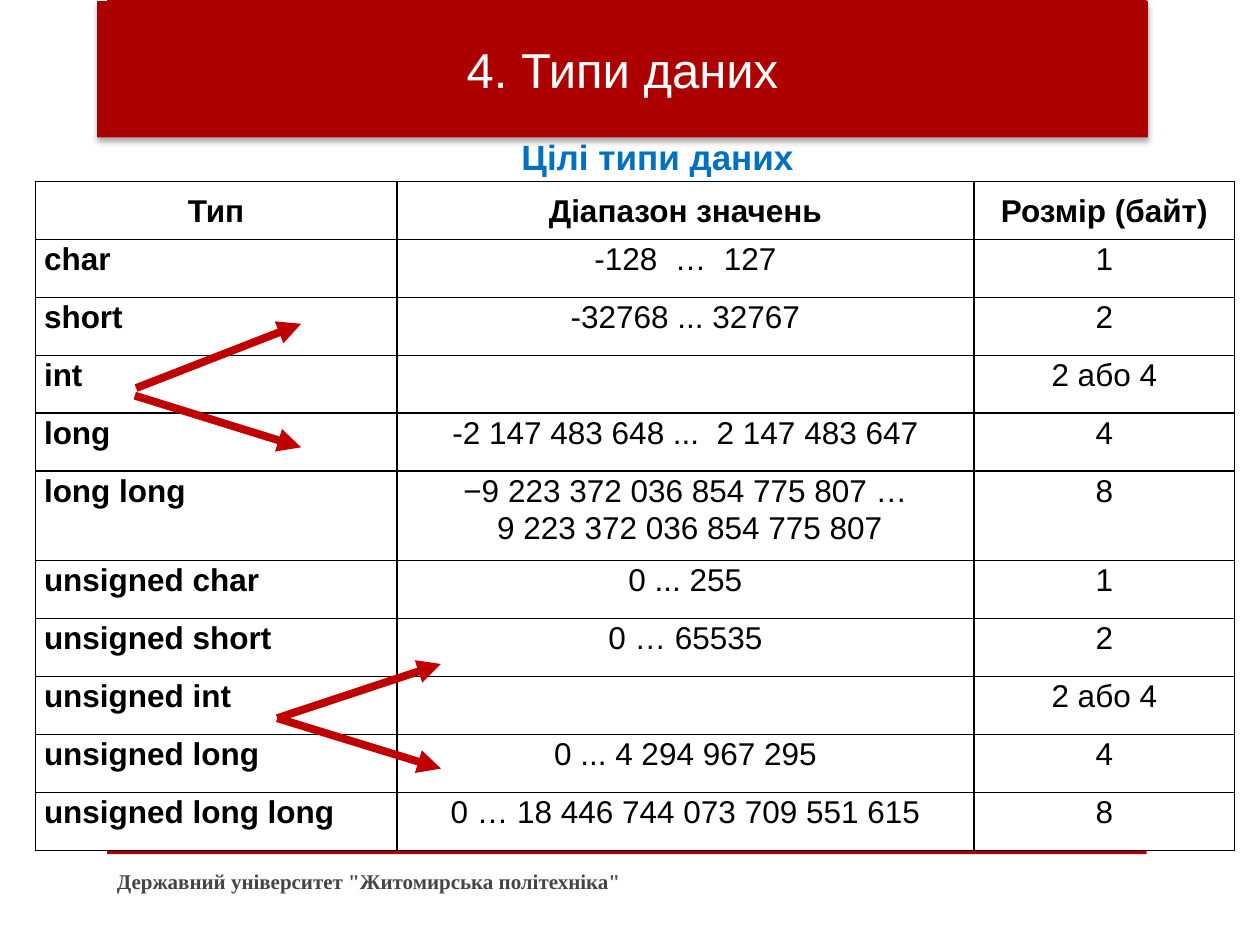
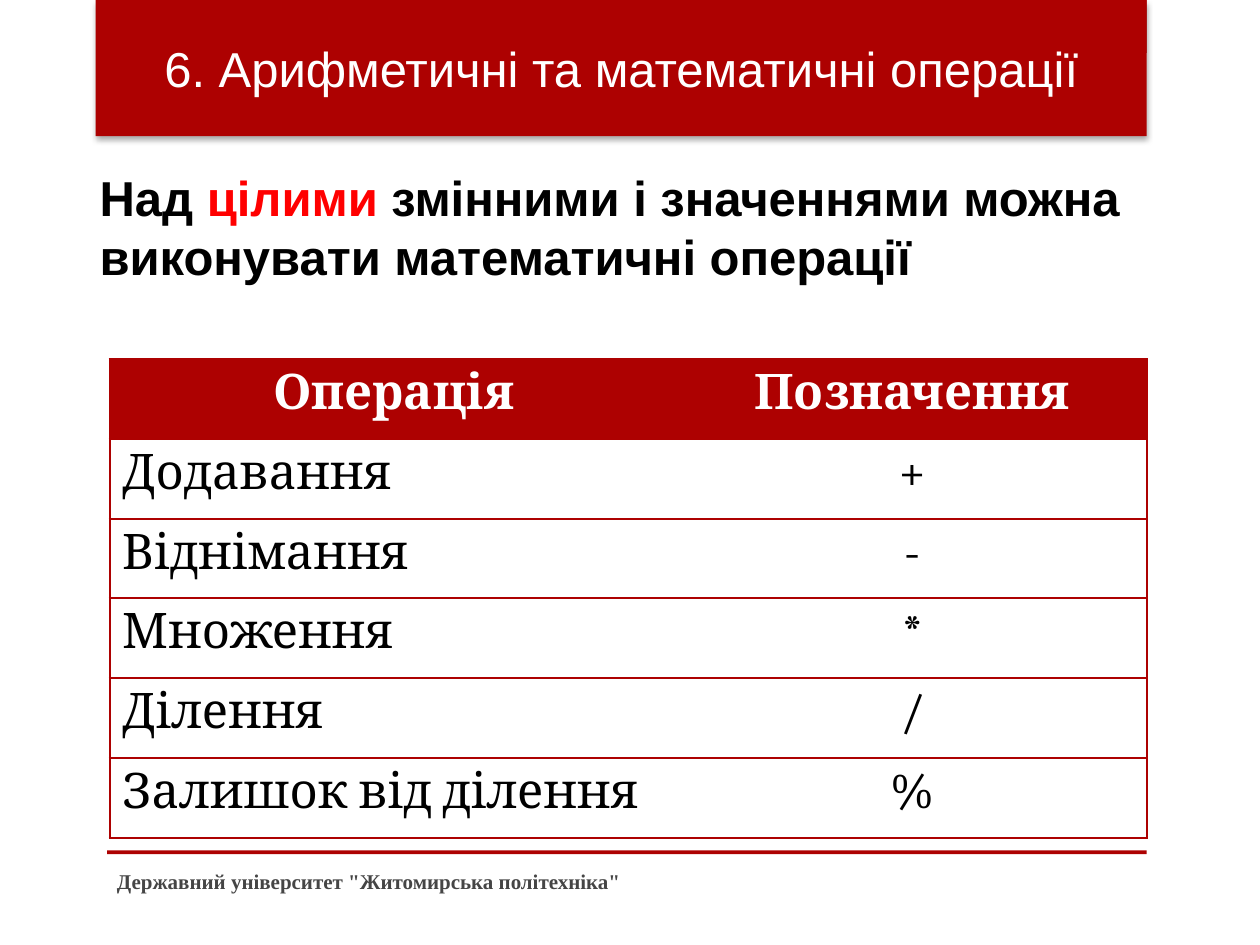
from dataclasses import dataclass

from lxml.etree import SubElement
from pptx import Presentation
from pptx.dml.color import RGBColor
from pptx.enum.shapes import MSO_CONNECTOR, MSO_SHAPE
from pptx.enum.text import MSO_ANCHOR as Anchor, MSO_AUTO_SIZE as AutoSize, PP_ALIGN as Align
from pptx.oxml.ns import qn
from pptx.util import Inches, Pt


@dataclass(frozen=True)
class Theme:
    """Colours, type sizes and fonts shared by the slides."""
    red: str = "AD0101"
    arrow: str = "C00000"
    accent: str = "FF0000"
    blue: str = "0070C0"
    black: str = "000000"
    white: str = "FFFFFF"
    grey: str = "454545"
    large: int = 28
    subtitle: int = 20
    cell: int = 18
    footer: int = 12
    sans: str = "Arial"
    serif: str = "Cambria"
    footer_font: str = "Times New Roman"


THEME = Theme()
FOOTER = 'Державний університет "Житомирська політехніка"'

INTEGER_TYPES = [
    ("Тип", "Діапазон значень", "Розмір (байт)"),
    ("char", "-128  …  127", "1"),
    ("short", "-32768 ... 32767", "2"),
    ("int", "", "2 або 4"),
    ("long", "-2 147 483 648 ...  2 147 483 647", "4"),
    ("long long", "−9 223 372 036 854 775 807 …\v\u00a09 223 372 036 854 775 807", "8"),
    ("unsigned char", "0 ... 255", "1"),
    ("unsigned short", "0 … 65535", "2"),
    ("unsigned int", "", "2 або 4"),
    ("unsigned long", "0 ... 4 294 967 295", "4"),
    ("unsigned long long", "0 … 18 446 744 073 709 551 615", "8"),
]
INT_ARROWS = [
    ((1.08, 3.08), (2.39, 2.57)),
    ((2.2, 5.7), (3.5, 5.27)),
    ((1.07, 3.14), (2.39, 3.55)),
    ((2.2, 5.7), (3.5, 6.1)),
]
OPERATIONS = [
    ("Операція", "Позначення"),
    ("Додавання", "+"),
    ("Віднімання", "-"),
    ("Множення", "*"),
    ("Ділення", "/"),
    ("Залишок від ділення", "%"),
]


def set_all(target, values):
    """Set each named attribute of the target."""
    for name, value in values.items():
        setattr(target, name, value)


def style_run(run, size, color, font=THEME.sans, bold=False):
    """Give a run its font, size, weight and colour."""
    set_all(run.font, {"name": font, "size": Pt(size), "bold": bold})
    run.font.color.rgb = RGBColor.from_string(color)


def write(paragraph, text, style, **paragraph_format):
    """Fill a paragraph with text in one style."""
    paragraph.text = text
    set_all(paragraph, paragraph_format)
    for run in paragraph.runs:
        style_run(run, **style)


def place(shape, left, top, width, height):
    """Move and size a shape, in inches."""
    names = ("left", "top", "width", "height")
    set_all(shape, dict(zip(names, map(Inches, (left, top, width, height)))))


def fill_red(shape):
    """Fill a shape with the theme red, without an outline."""
    shape.fill.solid()
    shape.fill.fore_color.rgb = RGBColor.from_string(THEME.red)
    shape.line.fill.background()


def add_master_bands(presentation, slide):
    """Put the top band and the footer rule behind everything on the master."""
    master_tree = presentation.slide_master.shapes.element
    for index, (top, height) in enumerate([(0, 0.42), (6.75, 0.03)]):
        band = slide.shapes.add_shape(
            MSO_SHAPE.RECTANGLE, *map(Inches, (0.85, top, 8.25, height)))
        band.shadow.inherit = False
        fill_red(band)
        band.element.nvSpPr.cNvPr.set("id", str(101 + index))
        master_tree.insert(2 + index, band.element)


def add_title(slide, text, left, top):
    """Turn the title placeholder into the red title band with a soft shadow."""
    title = slide.shapes.title
    place(title, left, top, 8.34, 1.08)
    fill_red(title)
    effects = SubElement(title.element.spPr, qn("a:effectLst"))
    shadow = SubElement(effects, qn("a:outerShdw"), blurRad=str(Pt(3.5)),
                        dist=str(Pt(2.2)), dir="5400000", rotWithShape="0")
    color = SubElement(shadow, qn("a:srgbClr"), val=THEME.black)
    SubElement(color, qn("a:alpha"), val="32000")
    set_all(title.text_frame, {"vertical_anchor": Anchor.MIDDLE, "word_wrap": True,
                               "auto_size": AutoSize.NONE})
    write(title.text_frame.paragraphs[0], text,
          {"size": THEME.large, "color": THEME.white}, alignment=Align.CENTER)
    title.element.getparent().append(title.element)


def add_text(slide, box, text, style, **frame_format):
    """Add a text box with one paragraph."""
    frame = slide.shapes.add_textbox(*map(Inches, box)).text_frame
    set_all(frame, frame_format)
    write(frame.paragraphs[0], text, style)


def add_footer(slide):
    """Add the university name under the footer rule."""
    style = {"size": THEME.footer, "color": THEME.grey,
             "font": THEME.footer_font, "bold": True}
    add_text(slide, (0.83, 6.79, 5.33, 0.4), FOOTER, style,
             word_wrap=True, vertical_anchor=Anchor.MIDDLE)


def add_statement(slide, box, pieces):
    """Write coloured bold pieces into the body placeholder, without a bullet."""
    body = slide.placeholders[1]
    place(body, *box)
    set_all(body.text_frame, {"word_wrap": True, "auto_size": AutoSize.NONE})
    paragraph = body.text_frame.paragraphs[0]
    paragraph.space_before = Pt(0)
    properties = paragraph.font._element.getparent()
    properties.remove(paragraph.font._element)
    properties.set("marL", str(Inches(0.05)))
    properties.set("indent", "0")
    SubElement(properties, qn("a:buNone"))
    for text, color in pieces:
        run = paragraph.add_run()
        run.text = text
        style_run(run, THEME.large, color, bold=True)


def set_borders(cell, edges, color, width):
    """Draw the named edges (L, R, T, B) of a cell and clear the others."""
    properties = cell._tc.get_or_add_tcPr()
    for edge in "LRTB":
        line = SubElement(properties, qn(f"a:ln{edge}"), w=str(Pt(width)))
        if edge in edges:
            fill = SubElement(line, qn("a:solidFill"))
            SubElement(fill, qn("a:srgbClr"), val=color)
        else:
            SubElement(line, qn("a:noFill"))


def add_grid(slide, origin, widths, heights, rows, format_cell):
    """Add a plain table and let format_cell fill each cell."""
    size = (sum(widths), sum(heights))
    table = slide.shapes.add_table(
        len(rows), len(widths), *map(Inches, origin + size)).table
    set_all(table, {"first_row": False, "horz_banding": False})
    for column, width in zip(table.columns, widths):
        column.width = Inches(width)
    for row, height in zip(table.rows, heights):
        row.height = Inches(height)
    for row_index, texts in enumerate(rows):
        for column_index, text in enumerate(texts):
            cell = table.cell(row_index, column_index)
            format_cell(cell, text, row_index, column_index)


def format_type_cell(cell, text, row, column):
    """Format a cell of the integer type table."""
    header = row == 0
    set_borders(cell, "LRTB", THEME.black, 1)
    cell.fill.background()
    set_all(cell, {"margin_left": Inches(0.07), "margin_right": Inches(0.07),
                   "margin_top": 0, "margin_bottom": 0,
                   "vertical_anchor": Anchor.MIDDLE if header else Anchor.TOP})
    style = {"size": THEME.cell, "color": THEME.black, "bold": header or column == 0}
    write(cell.text_frame.paragraphs[0], text, style,
          alignment=Align.CENTER if header or column else Align.LEFT,
          line_spacing=1.07, space_before=Pt(3), space_after=Pt(3))


def format_operation_cell(cell, text, row, column):
    """Format a cell of the operation table."""
    header = row == 0
    set_borders(cell, "RTB" if column else "LTB", THEME.red, 1.25)
    if header:
        cell.fill.solid()
        cell.fill.fore_color.rgb = RGBColor.from_string(THEME.red)
    else:
        cell.fill.background()
    style = {"size": THEME.large, "color": THEME.white if header else THEME.black,
             "font": THEME.serif, "bold": header}
    write(cell.text_frame.paragraphs[0], text, style,
          alignment=Align.CENTER if header or column else Align.LEFT)


def add_arrow(slide, start, end):
    """Add a thick red arrow between two points."""
    arrow = slide.shapes.add_connector(
        MSO_CONNECTOR.STRAIGHT, *map(Inches, start + end))
    arrow.line.width = Pt(4.5)
    arrow.line.color.rgb = RGBColor.from_string(THEME.arrow)
    SubElement(arrow.line._get_or_add_ln(), qn("a:tailEnd"), type="triangle")
    SubElement(arrow.element.spPr, qn("a:effectLst"))


def build_types_slide(slide):
    """Build the slide of integer data types."""
    heights = [0.71 if "\v" in row[1] else 0.46 for row in INTEGER_TYPES]
    add_grid(slide, (0.28, 1.44), (2.87, 4.58, 2.07), heights,
             INTEGER_TYPES, format_type_cell)
    add_text(slide, (4.04, 1.03, 2.38, 0.44), "Цілі типи даних",
             {"size": THEME.subtitle, "color": THEME.blue, "bold": True},
             word_wrap=False, auto_size=AutoSize.SHAPE_TO_FIT_TEXT)
    for start, end in INT_ARROWS:
        add_arrow(slide, start, end)
    add_footer(slide)
    add_title(slide, "4. Типи даних", 0.77, 0.01)


def build_operations_slide(slide):
    """Build the slide of arithmetic operations."""
    add_grid(slide, (0.87, 2.85), (4.51, 3.72), [3.8 / len(OPERATIONS)] * len(OPERATIONS),
             OPERATIONS, format_operation_cell)
    add_statement(slide, (0.64, 1.28, 8.46, 1.04), [
        ("Над ", THEME.black),
        ("цілими", THEME.accent),
        (" змінними і значеннями можна виконувати математичні операції", THEME.black),
    ])
    add_footer(slide)
    add_title(slide, "6. Арифметичні та математичні операції", 0.76, 0)


def main():
    """Build and save the presentation."""
    presentation = Presentation()
    set_all(presentation, {"slide_width": Inches(10), "slide_height": Inches(7.5)})
    layouts = presentation.slide_layouts
    types_slide = presentation.slides.add_slide(layouts.get_by_name("Title Only"))
    operations_slide = presentation.slides.add_slide(
        layouts.get_by_name("Title and Content"))
    add_master_bands(presentation, types_slide)
    build_types_slide(types_slide)
    build_operations_slide(operations_slide)
    presentation.save("out.pptx")


main()
